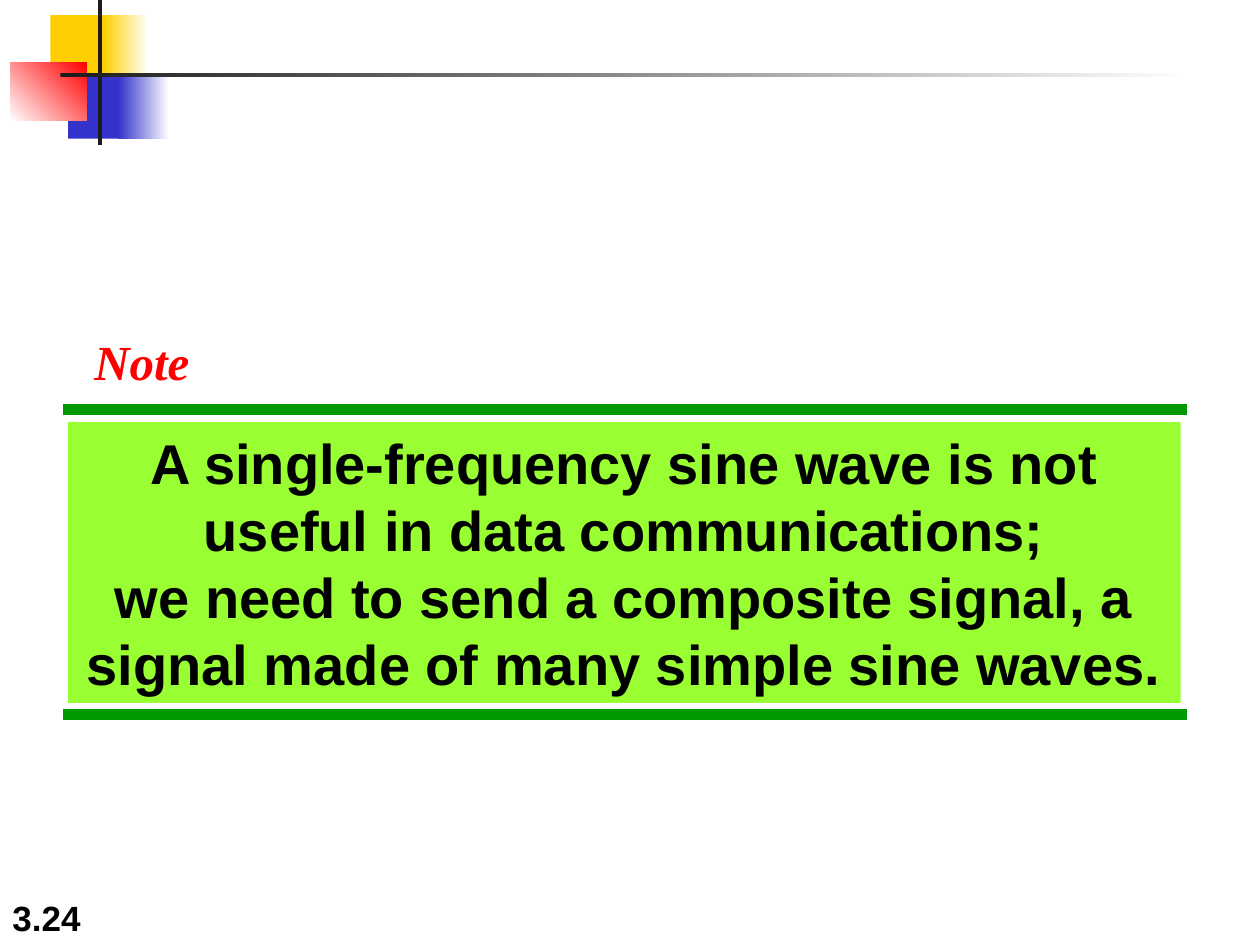
import pptx
import pptx.util
import pptx.dml.color
import pptx.enum.shapes
import pptx.enum.text
import pptx.oxml.ns
import lxml.etree

Inches = pptx.util.Inches
Kind = pptx.enum.shapes.MSO_SHAPE
Anchor = pptx.enum.text.MSO_ANCHOR
Align = pptx.enum.text.PP_ALIGN

HUES = {
    "gold": "FFCF01", "blue": "3333CC", "red": "FF0000", "white": "FFFFFF",
    "ink": "1C1C1C", "black": "000000", "green": "009900", "lime": "99FF33",
}


def hue(name):
    return pptx.dml.color.RGBColor.from_string(HUES[name])


def write(shape, lines, color, align, anchor, font):
    frame = shape.text_frame
    frame.word_wrap = True
    frame.vertical_anchor = anchor
    frame.text = "\n".join(lines)
    for para in frame.paragraphs:
        para.alignment = align
        para.font.color.rgb = hue(color)
        for key, value in font.items():
            setattr(para.font, key, value)


deck = pptx.Presentation()
deck.slide_width, deck.slide_height = Inches(10), Inches(7.5)
slide = deck.slides.add_slide(deck.slide_layouts[6])
shapes = slide.shapes

# Slide number
number = shapes.add_textbox(Inches(0), Inches(7), Inches(2.08), Inches(0.5))
write(number, ["3.24"], "black", Align.LEFT, Anchor.BOTTOM,
      {"name": "Arial", "size": pptx.util.Pt(20), "bold": True})

# Corner ornament, rule and message panel: box, colours, gradient angle
blocks = [
    ((0.4, 0.12, 0.48, 0.52), ["gold"], 0),
    ((0.82, 0.12, 0.36, 0.52), ["gold", "white"], 0),
    ((0.54, 0.58, 0.46, 0.52), ["blue"], 0),
    ((0.94, 0.58, 0.4, 0.52), ["blue", "white"], 0),
    ((0.08, 0.5, 0.61, 0.46), ["white", "red"], 45),
    ((0.78, 0, 0.03, 1.15), ["ink"], 0),
    ((0.48, 0.58, 9, 0.03), ["ink", "white"], 0),
    ((0.54, 3.35, 8.83, 2.23), ["lime"], 0),
]
for box, tones, angle in blocks:
    panel = shapes.add_shape(Kind.RECTANGLE, *map(Inches, box))
    panel.shadow.inherit = False
    panel.line.fill.background()
    if len(tones) == 1:
        panel.fill.solid()
        panel.fill.fore_color.rgb = hue(tones[0])
    else:
        panel.fill.gradient()
        panel.fill.gradient_angle = angle
        for stop, tone, place in zip(panel.fill.gradient_stops, tones, (0, 1)):
            stop.color.rgb = hue(tone)
            stop.position = place

# Message, in the last panel
write(panel, ["A single-frequency sine wave is not useful in data communications;",
              "we need to send a composite signal, a signal made of many simple sine waves."],
      "black", Align.CENTER, Anchor.TOP,
      {"name": "Arial", "size": pptx.util.Pt(32), "bold": True})

# Green bars above and below the message
for y in (3.25, 5.67):
    bar = shapes.add_connector(pptx.enum.shapes.MSO_CONNECTOR.STRAIGHT,
                               Inches(0.5), Inches(y), Inches(9.42), Inches(y))
    bar.line.color.rgb = hue("green")
    bar.line.width = pptx.util.Pt(6)
    props = bar._element.spPr
    lxml.etree.SubElement(props, pptx.oxml.ns.qn("a:effectLst"))

# Note label
note = shapes.add_textbox(Inches(0.65), Inches(2.58), Inches(0.96), Inches(0.57))
write(note, ["Note"], "red", Align.LEFT, Anchor.TOP,
      {"name": "Times New Roman", "size": pptx.util.Pt(28), "bold": True, "italic": True})
note.text_frame.word_wrap = False

deck.save("out.pptx")
